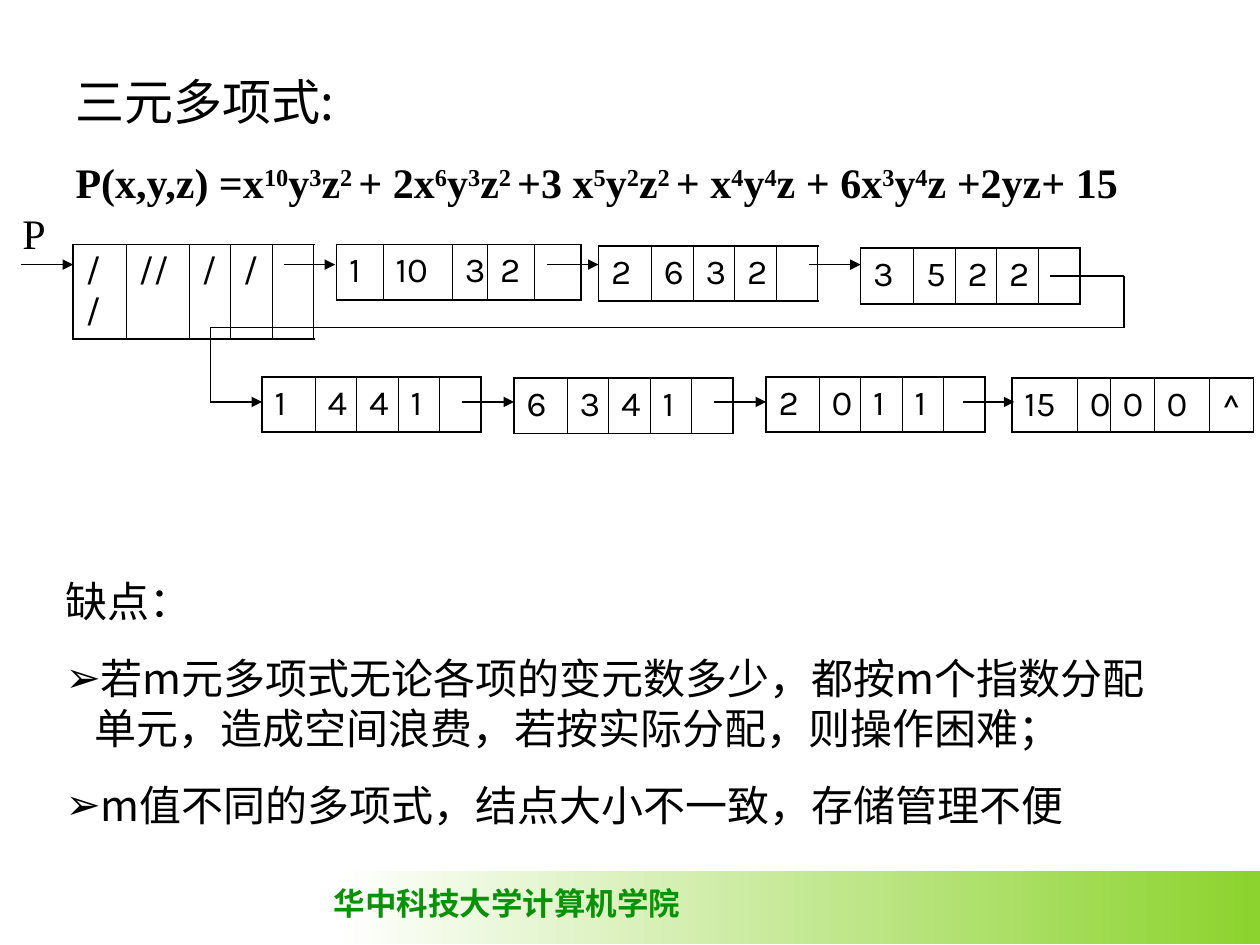
from itertools import pairwise

from lxml import etree
from pptx import Presentation, util as u
from pptx.dml.color import RGBColor
from pptx.enum import shapes, text
from pptx.oxml import ns

# Content: exponents stand between carets
HEADING = "三元多项式:"
FORMULA = ("P(x,y,z) =x^10^y^3^z^2 ^+ 2x^6^y^3^z^2 ^+3 x^5^y^2^z^2 ^"
           "+ x^4^y^4^z + 6x^3^y^4^z +2yz+ 15")
DRAWBACK = "缺点："
POINTS = [
    "若m元多项式无论各项的变元数多少，都按m个指数分配单元，造成空间浪费，若按实际分配，则操作困难；",
    "m值不同的多项式，结点大小不一致，存储管理不便",
]
SCHOOL = "华中科技大学计算机学院"

# Linked list nodes: left, top, cells, column widths
COLUMNS = (0.42, 0.33, 0.33, 0.33, 0.33)
NODES = [
    (0.58, 1.94, ("//", "//", "/", "/", ""), (0.42, 0.5, 0.33, 0.33, 0.33)),
    (2.67, 1.94, ("1", "10", "3", "2", ""), (0.37, 0.55, 0.28, 0.37, 0.37)),
    (4.75, 1.95, ("2", "6", "3", "2", ""), COLUMNS),
    (6.83, 1.97, ("3", "5", "2", "2", ""), COLUMNS),
    (2.08, 2.99, ("1", "4", "4", "1", ""), COLUMNS),
    (4.08, 3.0, ("6", "3", "4", "1", ""), COLUMNS),
    (6.08, 2.99, ("2", "0", "1", "1", ""), COLUMNS),
    (8.03, 3.0, ("15", "0", "0", "0", "^"), (0.52, 0.26, 0.35, 0.44, 0.35)),
]
ROW_HEIGHT = 0.43

# Links: every arrow is equally long and ends at a node
ARROW = 0.41
ARROW_TIPS = {2.1: (0.58, 2.66, 4.75, 6.83), 3.19: (2.08, 4.08, 6.08, 8.05)}
RETURN_PATH = [(8.33, 2.19), (8.92, 2.19), (8.92, 2.6), (1.67, 2.6), (1.67, 3.19)]

BLACK, GREEN = "000000", "069406"
SERIF, SANS, DIGITS = "Times New Roman", "Noto Sans CJK SC", "Karla"


def color(value):
    return RGBColor.from_string(value)


def add_span(para, words, size, face, bold=False, ink=BLACK, raised=False):
    span = para.add_run()
    span.text = words
    font = span.font
    font.size, font.name, font.bold = u.Pt(size), face, bold
    font.color.rgb = color(ink)
    if face == SANS:
        etree.SubElement(font._element, ns.qn("a:ea")).set("typeface", face)
    if raised:
        font._element.set("baseline", "30000")


def place(box, left, top, width, height):
    box.left, box.top = u.Inches(left), u.Inches(top)
    box.width, box.height = u.Inches(width), u.Inches(height)
    frame = box.text_frame
    frame.auto_size = text.MSO_AUTO_SIZE.NONE
    frame.vertical_anchor = text.MSO_ANCHOR.TOP
    return frame


def set_layout(para, before=0, bullet=None):
    para.alignment = text.PP_ALIGN.LEFT
    para.space_before = u.Pt(before)
    props = para._p.get_or_add_pPr()
    indent = u.Inches(0.23) if bullet else 0
    props.set("marL", str(indent))
    props.set("indent", str(-indent))
    if bullet:
        etree.SubElement(props, ns.qn("a:buChar")).set("char", bullet)
    else:
        etree.SubElement(props, ns.qn("a:buNone"))


def add_line(page, start, end, arrow=False):
    line = page.shapes.add_connector(
        shapes.MSO_CONNECTOR.STRAIGHT, *(u.Inches(n) for n in (*start, *end)))
    line.line.color.rgb = color(BLACK)
    line.line.width = u.Pt(0.75)
    if arrow:
        tail = etree.SubElement(line.line._get_or_add_ln(), ns.qn("a:tailEnd"))
        tail.set("type", "triangle")
    etree.SubElement(line._element.spPr, ns.qn("a:effectLst"))


def set_border(cell, side, points):
    edge = etree.SubElement(cell._tc.get_or_add_tcPr(), ns.qn(f"a:ln{side}"))
    edge.set("w", str(u.Pt(points)))
    fill = etree.SubElement(edge, ns.qn("a:solidFill"))
    etree.SubElement(fill, ns.qn("a:srgbClr")).set("val", BLACK)


def add_node(page, left, top, values, widths):
    table = page.shapes.add_table(
        1, len(values), u.Inches(left), u.Inches(top),
        u.Inches(sum(widths)), u.Inches(ROW_HEIGHT)).table
    table.first_row = table.horz_banding = False
    last = len(values) - 1
    for i, (value, width) in enumerate(zip(values, widths)):
        table.columns[i].width = u.Inches(width)
        cell = table.cell(0, i)
        set_border(cell, "L", 1.08 if i == 0 else 0.45)
        set_border(cell, "R", 1.08 if i == last else 0.45)
        set_border(cell, "T", 1.08)
        set_border(cell, "B", 1.08)
        cell.fill.background()
        para = cell.text_frame.paragraphs[0]
        if value:
            add_span(para, value, 20, DIGITS)
        else:
            para.font.size = u.Pt(20)


def main():
    deck = Presentation()
    deck.slide_width, deck.slide_height = u.Inches(10), u.Inches(7.5)
    page = deck.slides.add_slide(deck.slide_layouts[1])

    # Footer band and school name
    band = page.shapes.add_shape(
        shapes.MSO_SHAPE.RECTANGLE, *(u.Inches(n) for n in (2.67, 6.91, 7.33, 0.58)))
    band.shadow.inherit = False
    band.line.fill.background()
    band.fill.gradient()
    band.fill.gradient_angle = 0
    for stop, shade in zip(band.fill.gradient_stops, ("FFFFFF", "8CD32D")):
        stop.color.rgb = color(shade)
    school = place(page.shapes.add_textbox(0, 0, 0, 0), 2.55, 6.97, 2.95, 0.4)
    school.word_wrap = False
    add_span(school.paragraphs[0], SCHOOL, 18, SERIF, True, GREEN)

    # Heading and polynomial
    title = place(page.shapes.title, 0.5, 0.52, 8.92, 1.23)
    set_layout(title.paragraphs[0])
    add_span(title.paragraphs[0], HEADING, 28, SANS)
    formula = title.add_paragraph()
    set_layout(formula, 15)
    for i, part in enumerate(FORMULA.split("^")):
        add_span(formula, part, 24, SERIF, True, raised=i % 2 == 1)

    # Linked list
    pointer = place(page.shapes.add_textbox(0, 0, 0, 0), 0.08, 1.6, 0.67, 0.5)
    pointer.word_wrap = True
    add_span(pointer.paragraphs[0], "P", 24, SERIF)
    for node in NODES:
        add_node(page, *node)
    for y, tips in ARROW_TIPS.items():
        for tip in tips:
            add_line(page, (tip - ARROW, y), (tip, y), arrow=True)
    for start, end in pairwise(RETURN_PATH):
        add_line(page, start, end)

    # Drawbacks
    body = place(page.placeholders[1], 0.42, 4.52, 9, 2.73)
    set_layout(body.paragraphs[0])
    add_span(body.paragraphs[0], DRAWBACK, 24, SANS)
    for point in POINTS:
        para = body.add_paragraph()
        set_layout(para, 15, "➢")
        add_span(para, point, 24, SANS)

    deck.save("out.pptx")


if __name__ == "__main__":
    main()
